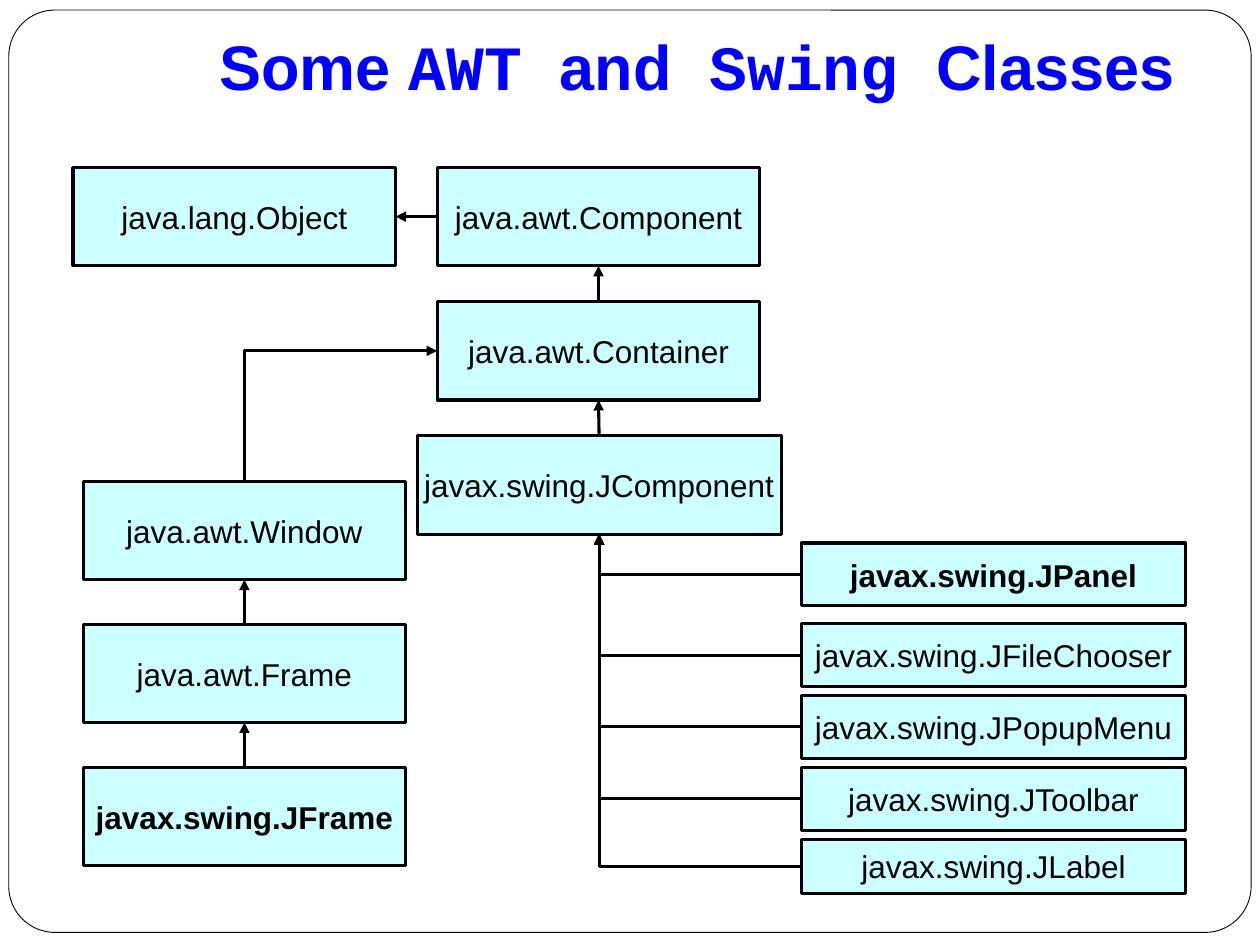
from lxml import etree
from pptx import Presentation
from pptx.dml.color import RGBColor
from pptx.enum.shapes import MSO_CONNECTOR, MSO_SHAPE
from pptx.enum.text import MSO_ANCHOR, PP_ALIGN
from pptx.oxml.ns import qn
from pptx.util import Inches, Pt

BLACK = RGBColor(0, 0, 0)
WHITE = RGBColor(255, 255, 255)
BLUE = RGBColor(0, 0, 255)
CYAN = RGBColor(0xCC, 0xFF, 0xFF)
RECT, ROUND = MSO_SHAPE.RECTANGLE, MSO_SHAPE.ROUNDED_RECTANGLE
STRAIGHT, ELBOW = MSO_CONNECTOR.STRAIGHT, MSO_CONNECTOR.ELBOW
MIDDLE, BOTTOM = MSO_ANCHOR.MIDDLE, MSO_ANCHOR.BOTTOM
CENTER, RIGHT = PP_ALIGN.CENTER, PP_ALIGN.RIGHT
SANS, MONO = "Arial", "Courier New"

# Connection sites of a rectangle
TOP, LEFT, BASE, SIDE = range(4)

# Columns (left, width) and rows of the diagram, in inches
ROOT, MAIN, WIDE = (0.58, 2.56), (3.47, 2.56), (3.31, 2.89)
FRAMES, LEAVES = (0.66, 2.56), (6.36, 3.05)
TALL, SMALL = 0.78, 0.5
MAIN_TOP, MAIN_STEP = 1.33, 1.065
FRAME_TOP, FRAME_STEP = 3.82, 1.135
LEAF_TOP, LEAF_STEP = 4.95, 0.57


def style(run, size, color, font=SANS, bold=False):
    run.font.size = Pt(size)
    run.font.name = font
    run.font.bold = bold
    run.font.color.rgb = color


def panel(slide, kind, place, fill, width):
    shape = slide.shapes.add_shape(kind, *map(Inches, place))
    shape.shadow.inherit = False
    shape.fill.solid()
    shape.fill.fore_color.rgb = fill
    shape.line.color.rgb = BLACK
    shape.line.width = Pt(width)
    return shape


def box(slide, text, col, top, height=TALL, bold=False):
    left, width = col
    shape = panel(slide, RECT, (left, top, width, height), CYAN, 1.75)
    frame = shape.text_frame
    frame.text = text
    frame.word_wrap = False
    frame.vertical_anchor = MIDDLE
    para = frame.paragraphs[0]
    para.alignment = CENTER
    style(para.runs[0], 18, BLACK, bold=bold)
    return shape


def link(slide, start, end, kind=STRAIGHT, tip="tailEnd"):
    """Join two (shape, site) pairs; an elbow leaves its start sideways."""
    line = slide.shapes.add_connector(kind, 0, 0, 0, 0)
    line.begin_connect(*start)
    line.end_connect(*end)
    line.line.color.rgb = BLACK
    line.line.width = Pt(1.75)
    props = line._element.spPr
    if kind == ELBOW:
        props.find(qn("a:prstGeom")).set("prst", "bentConnector2")
    etree.SubElement(props.find(qn("a:ln")), qn("a:" + tip), type="triangle")
    etree.SubElement(props, qn("a:effectLst"))


def title(slide):
    area = slide.shapes.add_textbox(*map(Inches, (1, 0.17, 8.42, 0.75)))
    frame = area.text_frame
    frame.word_wrap = True
    frame.vertical_anchor = BOTTOM
    frame.margin_bottom = Inches(0.1)
    para = frame.paragraphs[0]
    para.alignment = RIGHT
    for text, font in (("Some ", SANS), ("AWT ", MONO), ("and", SANS),
                       (" Swing ", MONO), ("Classes", SANS)):
        run = para.add_run()
        run.text = text
        style(run, 36, BLUE, font, True)


def main():
    prs = Presentation()
    prs.slide_width, prs.slide_height = Inches(10), Inches(7.5)
    slide = prs.slides.add_slide(prs.slide_layouts[6])

    # Page border and title
    edge = panel(slide, ROUND, (0.07, 0.08, 9.86, 7.32), WHITE, 0.5)
    edge.adjustments[0] = 0.05
    title(slide)

    # Root and the main chain
    root = box(slide, "java.lang.Object", ROOT, MAIN_TOP)
    chain = [
        box(slide, text, col, MAIN_TOP + i * MAIN_STEP)
        for i, (text, col) in enumerate((
            ("java.awt.Component", MAIN),
            ("java.awt.Container", MAIN),
            ("javax.swing.JComponent", WIDE)))]
    link(slide, (chain[0], LEFT), (root, SIDE))

    # Window chain, joined to the container
    frames = [
        box(slide, text, FRAMES, FRAME_TOP + i * FRAME_STEP, bold=bold)
        for i, (text, bold) in enumerate((
            ("java.awt.Window", False),
            ("java.awt.Frame", False),
            ("javax.swing.JFrame", True)))]
    link(slide, (chain[1], LEFT), (frames[0], TOP), ELBOW, "headEnd")

    for group in (chain, frames):
        for upper, lower in zip(group, group[1:]):
            link(slide, (lower, TOP), (upper, BASE))

    # Swing components, joined to their parent
    leaves = [box(slide, "javax.swing.JPanel", LEAVES, 4.31, SMALL, True)]
    for i, (name, height) in enumerate((
            ("JFileChooser", SMALL), ("JPopupMenu", SMALL),
            ("JToolbar", SMALL), ("JLabel", 0.43))):
        leaves.append(box(slide, "javax.swing." + name, LEAVES,
                          LEAF_TOP + i * LEAF_STEP, height))
    for leaf in leaves:
        link(slide, (leaf, LEFT), (chain[2], BASE), ELBOW)

    prs.save("out.pptx")


if __name__ == "__main__":
    main()
